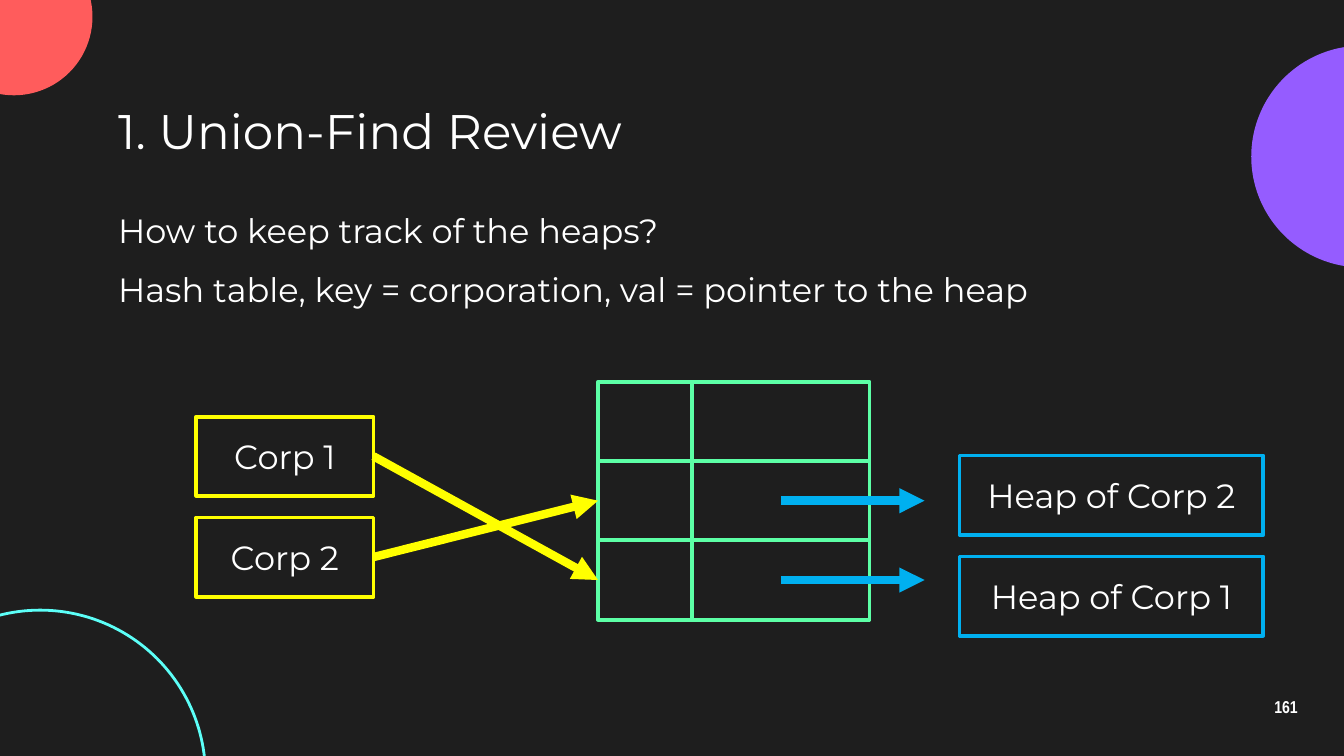
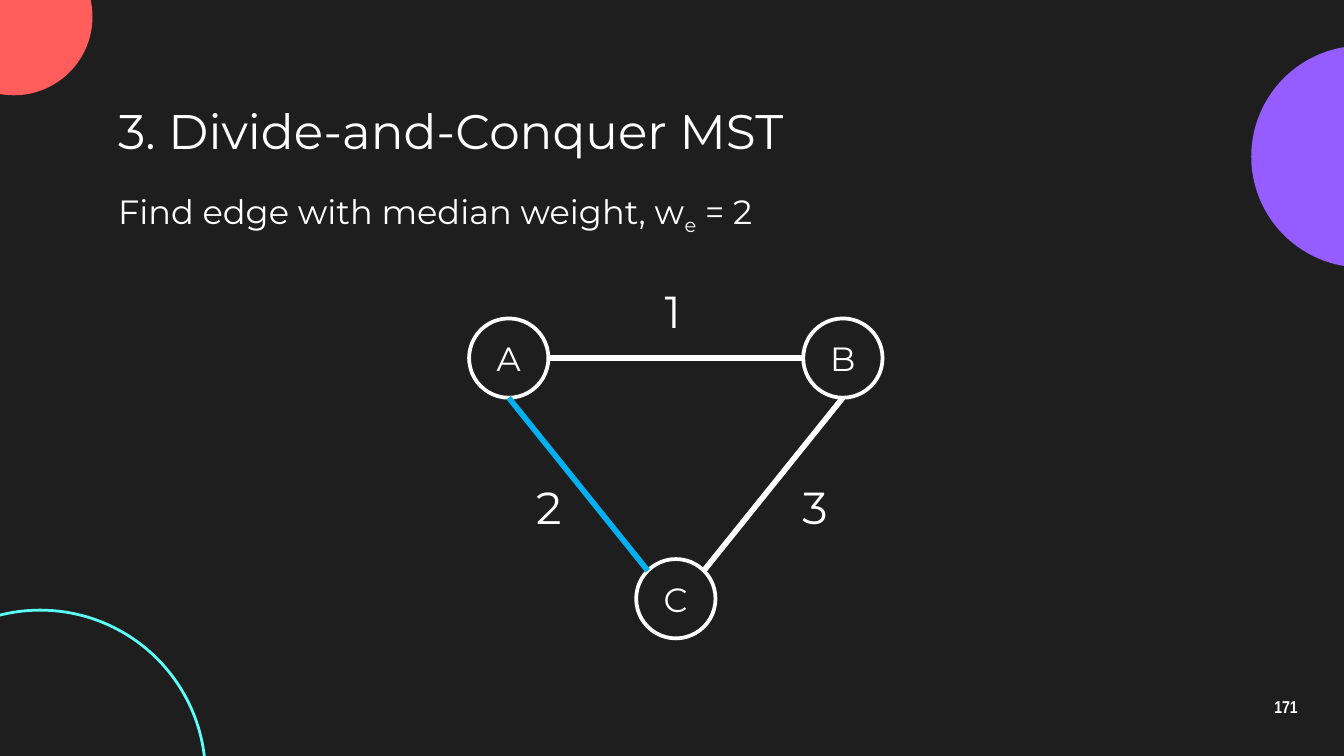
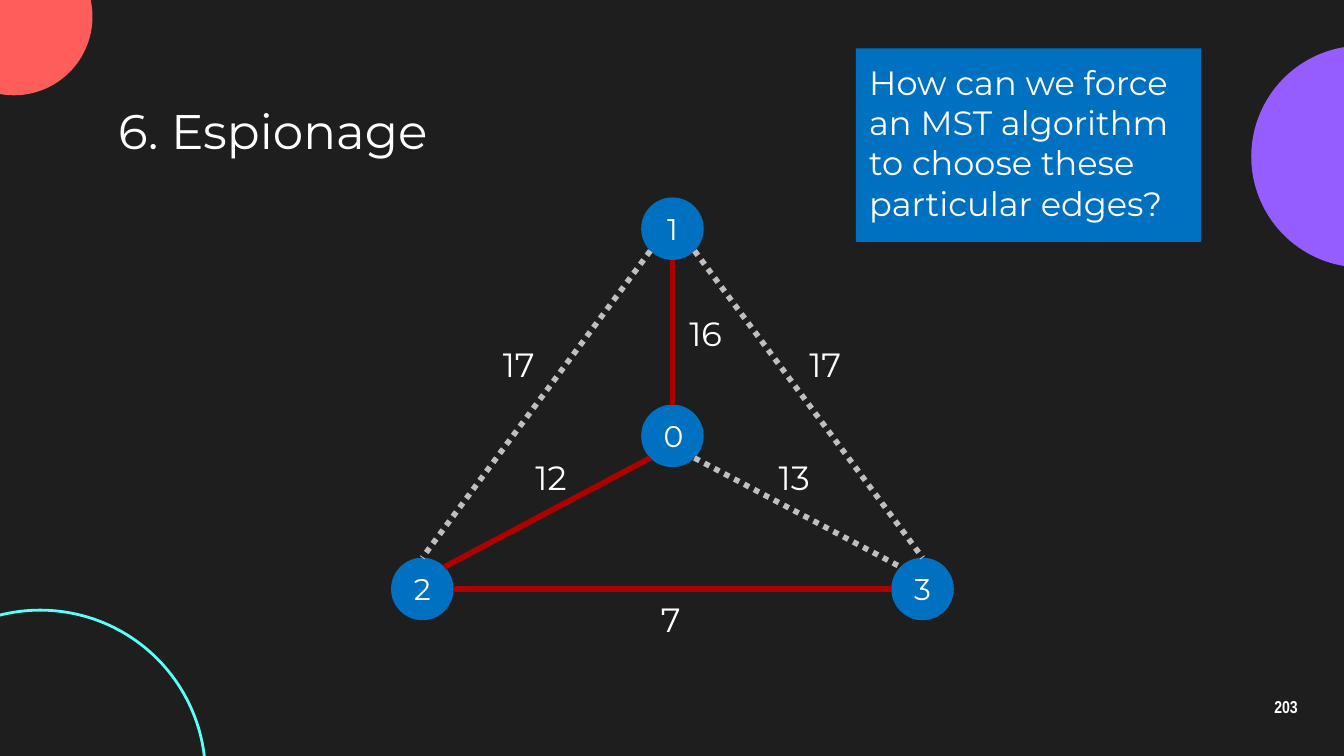
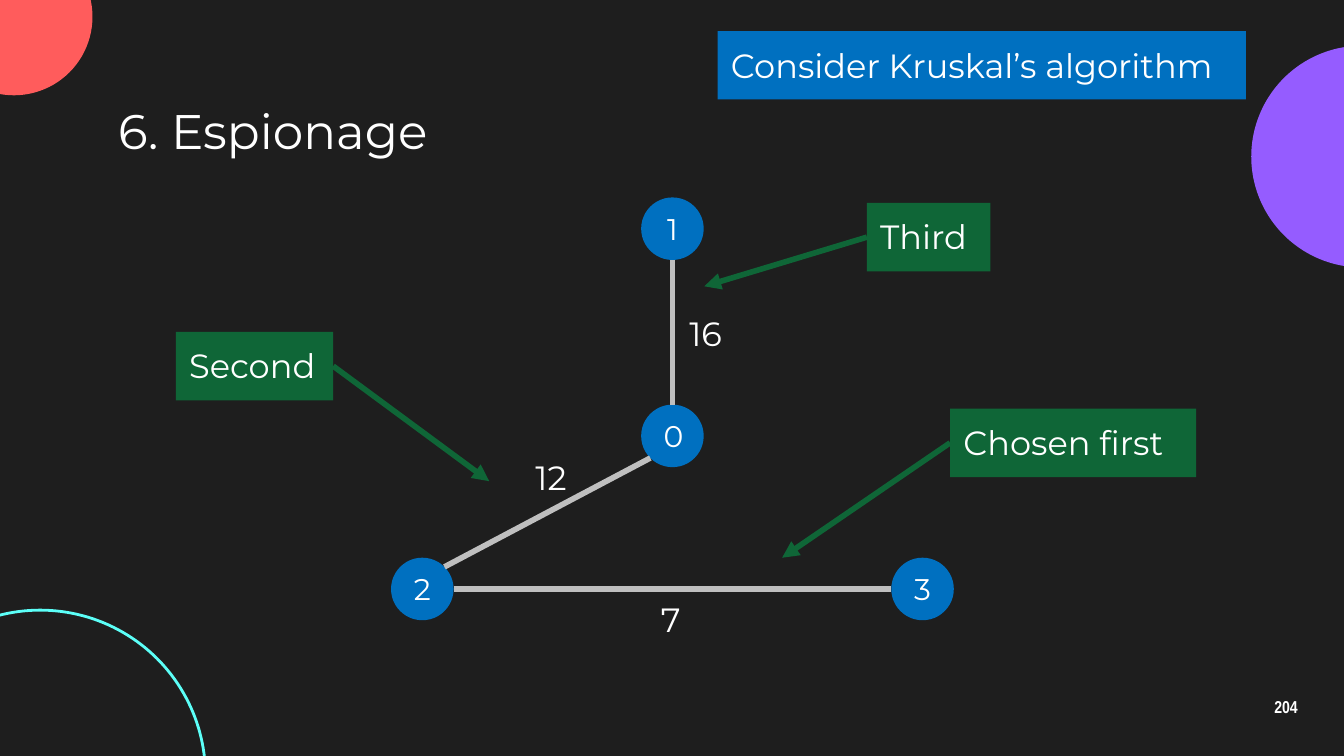
"""Build four slides on union-find, minimum spanning trees and espionage."""
import dataclasses
import math

import lxml.etree
import pptx
import pptx.dml.color
import pptx.enum.dml
import pptx.enum.shapes
import pptx.enum.text
import pptx.oxml.ns
import pptx.util

Pt = pptx.util.Pt
SHAPE = pptx.enum.shapes.MSO_SHAPE
ALIGN = pptx.enum.text.PP_ALIGN
ANCHOR = pptx.enum.text.MSO_ANCHOR
TOP, LEFT, BOTTOM, RIGHT = range(4)
TURN = {"E": 0, "SE": 45, "S": 90, "SW": 135, "W": 180, "NW": 225, "N": 270, "NE": 315}


@dataclasses.dataclass(frozen=True)
class Theme:
    """Colours, fonts and type sizes of the deck."""
    back: str = "1E1E1E"
    white: str = "FFFFFF"
    purple: str = "955CFF"
    coral: str = "FF5C5C"
    aqua: str = "5CFFF8"
    mint: str = "5CFFA6"
    yellow: str = "FFFF00"
    sky: str = "00B0F0"
    blue: str = "0070C0"
    red: str = "AE0000"
    grey: str = "BFBFBF"
    green: str = "0F6637"
    font: str = "Montserrat"
    narrow: str = "Arial Narrow"
    title: float = 26
    weight: float = 24
    body: float = 18
    node: float = 16
    number: float = 9.2


@dataclasses.dataclass(frozen=True)
class Box:
    """A rectangle in points."""
    x: float
    y: float
    w: float
    h: float

    def inner(self, x, y, w, h):
        """Return a box placed relative to this one."""
        return Box(self.x + x, self.y + y, w, h)

    def mid(self):
        """Return the centre point."""
        return self.x + self.w / 2, self.y + self.h / 2

    def port(self, side):
        """Return the point of the inscribed circle that faces a side."""
        x, y = self.mid()
        angle = math.radians(TURN[side])
        return x + self.w / 2 * math.cos(angle), y + self.w / 2 * math.sin(angle)

    def points(self):
        """Return left, top, width and height as lengths."""
        return Pt(self.x), Pt(self.y), Pt(self.w), Pt(self.h)


THEME = Theme()
PAGE = Box(0, 0, 720, 405)
TREE = Box(209.5, 105.8, 301.5, 226.5)
SPOTS = {"1": (134, 0), "0": (134, 111), "2": (0, 193), "3": (268, 193)}
EDGES = [
    ("1", "S", "0", "N", "16", 168.5, 72.7, True),
    ("1", "SW", "2", "N", "17", 68.4, 89.3, False),
    ("1", "SE", "3", "N", "17", 232.6, 89.3, False),
    ("2", "E", "3", "W", "7", 149.8, 226.1, True),
    ("0", "SE", "3", "NW", "13", 216, 149.8, False),
    ("2", "NE", "0", "SW", "12", 85.7, 149.8, True),
]


def paint(color):
    """Turn a hex string into a colour."""
    return pptx.dml.color.RGBColor.from_string(color)


def ink(para, size, font=THEME.font, bold=False):
    """Format every run of a paragraph."""
    for run in para.runs:
        run.font.size, run.font.name, run.font.bold = Pt(size), font, bold
        run.font.color.rgb = paint(THEME.white)


def write(frame, text, size, align=ALIGN.LEFT, anchor=ANCHOR.TOP, wrap=True, pad=7.2):
    """Fill a text frame and return its paragraph."""
    frame.text = text
    frame.word_wrap, frame.vertical_anchor = wrap, anchor
    frame.margin_left = frame.margin_right = Pt(7.2)
    frame.margin_top = frame.margin_bottom = Pt(pad)
    para = frame.paragraphs[0]
    para.alignment = align
    ink(para, size)
    return para


def label(slide, box, text, size=THEME.body, **style):
    """Add a text box and return its paragraph."""
    frame = slide.shapes.add_textbox(*box.points()).text_frame
    return write(frame, text, size, **style)


def form(slide, box, kind=SHAPE.RECTANGLE, fill=None, line=None, width=2):
    """Add a plain shape."""
    shape = slide.shapes.add_shape(kind, *box.points())
    shape.shadow.inherit = False
    if fill:
        shape.fill.solid()
        shape.fill.fore_color.rgb = paint(fill)
    else:
        shape.fill.background()
    if line:
        shape.line.color.rgb = paint(line)
        shape.line.width = Pt(width)
    else:
        shape.line.fill.background()
    return shape


def tag(slide, box, text, size=THEME.body, **look):
    """Add a shape with centred text."""
    shape = form(slide, box, **look)
    write(shape.text_frame, text, size, ALIGN.CENTER, ANCHOR.MIDDLE, pad=3.6)
    return shape


def note(slide, box, text, fill):
    """Add a filled note with text from its top left."""
    shape = form(slide, box, fill=fill)
    write(shape.text_frame, text, THEME.body)
    return shape


def link(slide, start, end, color, width=3, arrow=False, dots=False):
    """Draw a line between two points."""
    line = slide.shapes.add_connector(
        pptx.enum.shapes.MSO_CONNECTOR.STRAIGHT, *map(Pt, start + end))
    line.line.color.rgb = paint(color)
    line.line.width = Pt(width)
    if dots:
        line.line.dash_style = pptx.enum.dml.MSO_LINE.ROUND_DOT
    props = line._element.spPr
    qn = pptx.oxml.ns.qn
    if arrow:
        lxml.etree.SubElement(props.find(qn("a:ln")), qn("a:tailEnd"), type="triangle")
    lxml.etree.SubElement(props, qn("a:effectLst"))
    return line


def base(deck, title, number):
    """Start a slide with the shared circles, title and number."""
    slide = deck.slides.add_slide(deck.slide_layouts[6])
    slide.background.fill.solid()
    slide.background.fill.fore_color.rgb = paint(THEME.back)
    form(slide, PAGE.inner(670.3, 24.5, 118.8, 118.8), SHAPE.OVAL, fill=THEME.purple)
    form(slide, PAGE.inner(-34.6, -33.1, 84.2, 84.2), SHAPE.OVAL, fill=THEME.coral)
    form(slide, PAGE.inner(-67, 326.9, 177.1, 177.1), SHAPE.OVAL, line=THEME.aqua, width=1.5)
    para = label(slide, PAGE.inner(667.4, 367.2, 43.2, 24.5), str(number), THEME.number,
                 align=ALIGN.CENTER, anchor=ANCHOR.MIDDLE)
    para.line_spacing = 0.9
    ink(para, THEME.number, THEME.narrow, True)
    label(slide, PAGE.inner(56.2, 51.1, 607.7, 36.7), title, THEME.title, anchor=ANCHOR.MIDDLE)
    return slide


def stack(slide, box, names, color):
    """Add outlined boxes in a column."""
    return [tag(slide, box.inner(0, 54 * row, box.w, 42.5), name, line=color)
            for row, name in enumerate(names)]


def table(slide, box, key, rows=3):
    """Draw the hash table and return its key cells and value boxes."""
    high = box.h / rows
    vals = [box.inner(key, row * high, box.w - key, high) for row in range(rows)]
    for val in vals:
        form(slide, val, line=THEME.mint)
    keys = [form(slide, box.inner(0, row * high, key, high), line=THEME.mint)
            for row in range(rows)]
    return keys, vals


def hashing(slide, box):
    """Show how corporations lead to heaps through the hash table."""
    keys, vals = table(slide, box.inner(215.3, 0, 145.4, 127.5), 50.4)
    corps = stack(slide, box.inner(0, 18.7, 95, 96.5), ["Corp 1", "Corp 2"], THEME.yellow)
    for corp, key in zip(corps, reversed(keys)):
        line = link(slide, (0, 0), (0, 0), THEME.yellow, 4.5, arrow=True)
        line.begin_connect(corp, RIGHT)
        line.end_connect(key, LEFT)
    for val in vals[1:]:
        x, y = val.mid()
        link(slide, (x, y), (x + 77, y), THEME.sky, 4.5, arrow=True)
    stack(slide, box.inner(409, 39.6, 162.7, 96.5),
          ["Heap of Corp 2", "Heap of Corp 1"], THEME.sky)


def graph(slide, box):
    """Draw the three-node graph with its median edge marked."""
    size = 42.5
    spots = {"A": (0, 0), "B": (box.w - size, 0),
             "C": ((box.w - size) / 2, box.h - size)}
    nodes = {name: box.inner(*spot, size, size) for name, spot in spots.items()}
    for name, node in nodes.items():
        tag(slide, node, name, kind=SHAPE.OVAL, fill=THEME.back, line=THEME.white)
    for one, out, two, into, color in [("A", "E", "B", "W", THEME.white),
                                       ("C", "NE", "B", "S", THEME.white),
                                       ("C", "NW", "A", "S", THEME.sky)]:
        link(slide, nodes[one].port(out), nodes[two].port(into), color)
    for text, x, y in [("1", 85, -25.9), ("2", 18.7, 79.2), ("3", 161.3, 79.2)]:
        label(slide, box.inner(x, y, 48.2, 36.7), text, THEME.weight, align=ALIGN.CENTER)


def web(slide, box, color, whole):
    """Draw the spy graph, with its unused edges if whole."""
    nodes = {name: box.inner(*spot, 33.5, 33.5) for name, spot in SPOTS.items()}
    for name, node in nodes.items():
        tag(slide, node, name, THEME.node, kind=SHAPE.OVAL, fill=THEME.blue)
    for one, out, two, into, weight, x, y, used in EDGES:
        if used or whole:
            link(slide, nodes[one].port(out), nodes[two].port(into),
                 color if used else THEME.grey, dots=not used)
            label(slide, box.inner(x - 16.6, y - 13.7, 33.2, 27.4), weight,
                  align=ALIGN.CENTER, anchor=ANCHOR.MIDDLE, wrap=False)


def order(slide, box):
    """Point out the order in which edges are chosen."""
    for text, x, y, wide, side, end in [
            ("Chosen first", 509, 218.9, 131.8, LEFT, (419, 298.8)),
            ("Second", 94.3, 177.8, 84.2, RIGHT, (262.1, 257.8)),
            ("Third", 464.4, 108.7, 66.2, LEFT, (377.3, 153.4))]:
        shape = note(slide, box.inner(x, y, wide, 36.7), text, THEME.green)
        end = (box.x + end[0], box.y + end[1])
        link(slide, end, end, THEME.green, arrow=True).begin_connect(shape, side)


def review(deck):
    """Build the union-find slide."""
    slide = base(deck, "1. Union-Find Review", 161)
    label(slide, PAGE.inner(56.2, 105.1, 602.6, 36.7), "How to keep track of the heaps?")
    label(slide, PAGE.inner(56.2, 136.8, 576, 42.5),
          "Hash table, key = corporation, val = pointer to the heap")
    hashing(slide, PAGE.inner(105.1, 204.5, 571.7, 136.1))


def divide(deck):
    """Build the divide-and-conquer slide."""
    slide = base(deck, "3. Divide-and-Conquer MST", 171)
    para = label(slide, PAGE.inner(56.2, 95, 594, 36.7), "Find edge with median weight, w")
    for text in ("e", " = 2"):
        para.add_run().text = text
    ink(para, THEME.body)
    para.runs[1]._r.get_or_add_rPr().set("baseline", "-25000")
    graph(slide, PAGE.inner(251.3, 170.6, 221.5, 171.4))


def force(deck):
    """Build the slide that asks how to force the edges."""
    slide = base(deck, "6. Espionage", 203)
    web(slide, TREE, THEME.red, True)
    note(slide, PAGE.inner(458.6, 25.9, 185, 103.7),
         "How can we force an MST algorithm to choose these particular edges?", THEME.blue)


def choose(deck):
    """Build the slide that shows the order of choice."""
    slide = base(deck, "6. Espionage", 204)
    web(slide, TREE, THEME.grey, False)
    note(slide, PAGE.inner(384.5, 16.6, 283, 36.7), "Consider Kruskal’s algorithm", THEME.blue)
    order(slide, PAGE)


def main():
    """Build and save the deck."""
    deck = pptx.Presentation()
    deck.slide_width, deck.slide_height = Pt(PAGE.w), Pt(PAGE.h)
    for build in (review, divide, force, choose):
        build(deck)
    deck.save("out.pptx")


if __name__ == "__main__":
    main()
